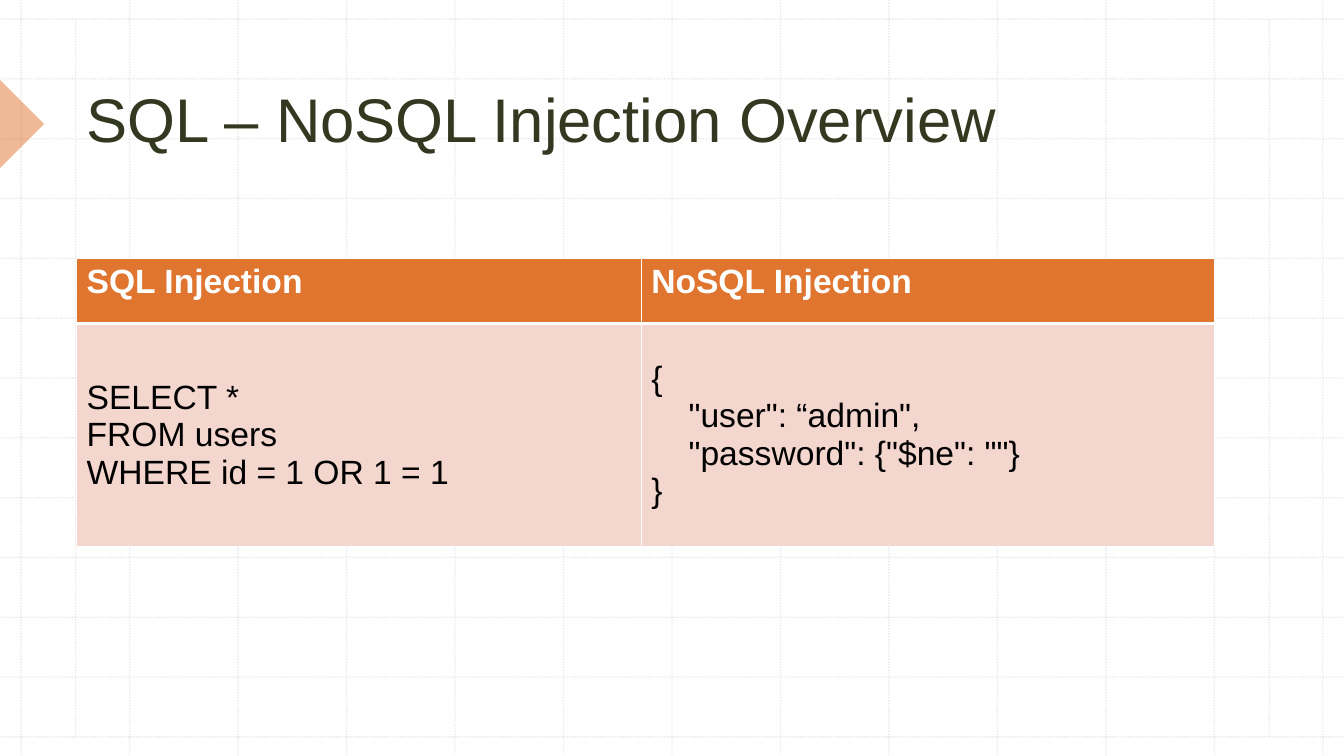
"""Build a slide that compares SQL and NoSQL injection."""
from lxml import etree
from pptx import Presentation
from pptx.dml.color import RGBColor
from pptx.enum import dml, shapes, text
from pptx.oxml import ns
from pptx.util import Inches, Pt

TITLE = "SQL – NoSQL Injection Overview"
HEADS = ["SQL Injection", "NoSQL Injection"]
CODE = [
    [("SELECT *\vFROM users\vWHERE id = 1 OR 1 = 1", 0)],
    [("{", 0), ('"user": “admin",', 1), ('"password": {"$ne": ""}', 1), ("}", 0)],
]
ROWS = [
    {"cells": [[(head, 0)] for head in HEADS], "high": 0.65, "fill": "E07530",
     "anchor": text.MSO_ANCHOR.TOP, "edges": {"L": 1, "R": 1, "T": 1, "B": 3},
     "font": {"size": Pt(24), "name": "Arial", "bold": True}, "ink": "FFFFFF"},
    {"cells": CODE, "high": 2.21, "fill": "F3D6CD",
     "anchor": text.MSO_ANCHOR.MIDDLE, "edges": {"L": 1, "R": 1, "T": 3, "B": 1},
     "font": {"size": Pt(24), "name": "Arial", "bold": False}, "ink": "000000"},
]
WIDE, HIGH = 13.33, 7.5
LEFT, TOP = 0.76, 2.56
COLS = [5.6, 5.69]
INDENT = 0.37
COUNT = 13
FIRST_X, LAST_X = 0.21, 13.12
FIRST_Y, LAST_Y = 0.19, 7.31
SIDES = [0.75, 12.59]


def color(code):
    return RGBColor.from_string(code)


def style(item, values):
    for key, value in values.items():
        setattr(item, key, value)


def add(parent, tag, **values):
    return etree.SubElement(parent, ns.qn(tag), values)


def paint(fill, code, alpha=None):
    fill.solid()
    fill.fore_color.rgb = color(code)
    if alpha:
        node = fill._xPr.find(".//" + ns.qn("a:srgbClr"))
        add(node, "a:alpha", val=str(alpha * 1000))


def rule(slide, *ends):
    line = slide.shapes.add_connector(
        shapes.MSO_CONNECTOR.STRAIGHT, *map(Inches, ends))
    style(line.line, {"width": Pt(1), "dash_style": dml.MSO_LINE.ROUND_DOT})
    paint(line.line.fill, "BCBCBC", 30)
    add(line._element.spPr, "a:effectLst")


def draw_grid(slide):
    for num in range(COUNT):
        part = num / (COUNT - 1)
        x = FIRST_X + part * (LAST_X - FIRST_X)
        y = FIRST_Y + part * (LAST_Y - FIRST_Y)
        rule(slide, x, 0, x, HIGH)
        rule(slide, 0, y, WIDE, y)
    for x in SIDES:
        rule(slide, x, FIRST_Y, x, LAST_Y)


def draw_mark(slide):
    mark = slide.shapes.add_shape(
        shapes.MSO_SHAPE.RIGHT_TRIANGLE, *map(Inches, (-0.31, 0.92, 0.62, 0.62)))
    mark.rotation = 225
    mark.shadow.inherit = False
    mark.line.fill.background()
    paint(mark.fill, "E07530", 50)


def set_title(slide):
    title = slide.shapes.title
    style(title, dict(zip(("left", "top", "width", "height"),
                          map(Inches, (LEFT, 0.73, sum(COLS), 0.86)))))
    frame = title.text_frame
    style(frame, {"text": TITLE, "vertical_anchor": text.MSO_ANCHOR.BOTTOM,
                  "word_wrap": True, "auto_size": text.MSO_AUTO_SIZE.NONE})
    para = frame.paragraphs[0]
    para.alignment = text.PP_ALIGN.LEFT
    style(para.font, {"size": Pt(44), "name": "Arial"})
    para.font.color.rgb = color("333820")
    slide.shapes._spTree.append(title._element)


def fill_cell(cell, lines, row):
    frame = cell.text_frame
    frame.text = "\n".join(line for line, _ in lines)
    for para, (_, level) in zip(frame.paragraphs, lines):
        if level:
            para._p.get_or_add_pPr().set("marL", str(Inches(INDENT * level)))
        for run in para.runs:
            style(run.font, row["font"])
            run.font.color.rgb = color(row["ink"])
    cell.vertical_anchor = row["anchor"]
    props = cell._tc.get_or_add_tcPr()
    for side, width in row["edges"].items():
        edge = add(props, "a:ln" + side, w=str(Pt(width)))
        add(add(edge, "a:solidFill"), "a:srgbClr", val="FFFFFF")
    paint(cell.fill, row["fill"])


def draw_table(slide):
    size = (LEFT, TOP, sum(COLS), sum(row["high"] for row in ROWS))
    table = slide.shapes.add_table(
        len(ROWS), len(COLS), *map(Inches, size)).table
    for col, wide in zip(table.columns, COLS):
        col.width = Inches(wide)
    for r, row in enumerate(ROWS):
        table.rows[r].height = Inches(row["high"])
        for c, lines in enumerate(row["cells"]):
            fill_cell(table.cell(r, c), lines, row)


def main():
    deck = Presentation()
    style(deck, {"slide_width": Inches(WIDE), "slide_height": Inches(HIGH)})
    slide = deck.slides.add_slide(deck.slide_layouts[5])
    draw_grid(slide)
    draw_mark(slide)
    set_title(slide)
    draw_table(slide)
    deck.save("out.pptx")


if __name__ == "__main__":
    main()
